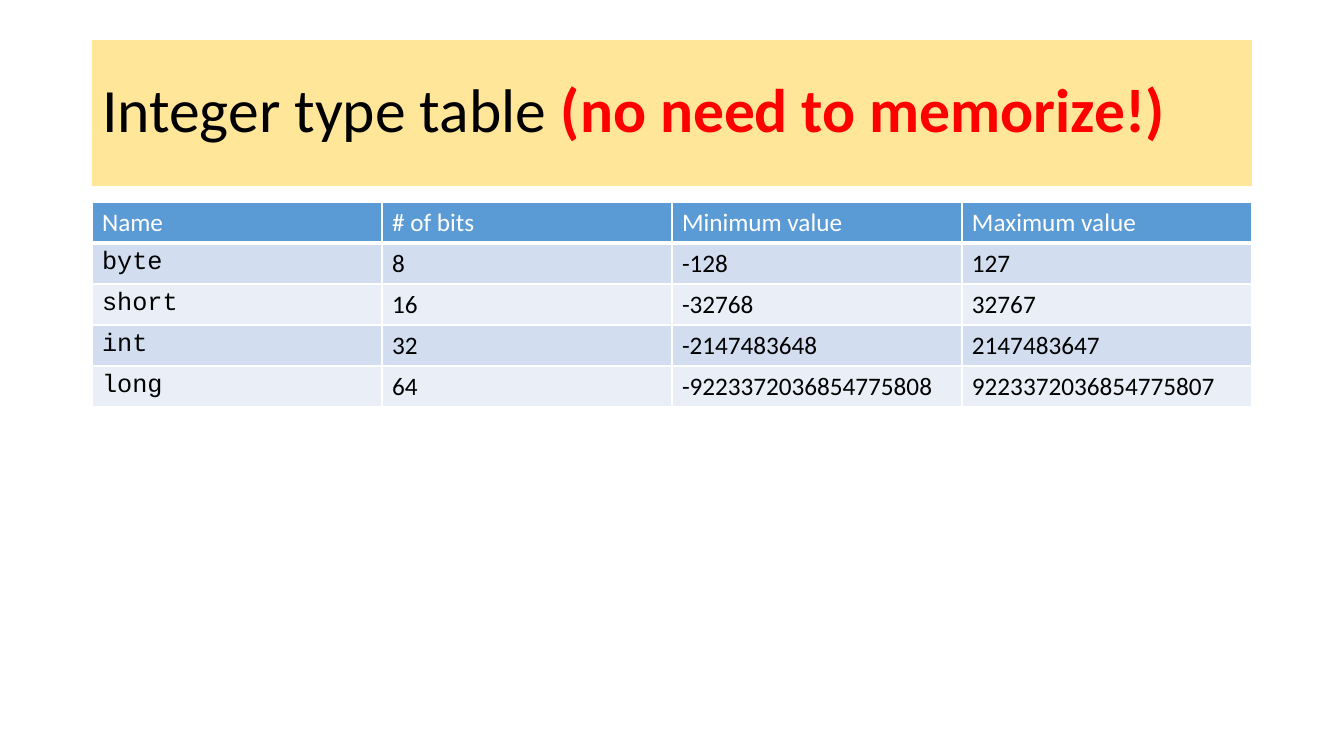
from dataclasses import dataclass

import pptx
import pptx.dml.color
import pptx.enum.text
import pptx.oxml
import pptx.oxml.ns
import pptx.util

EMU_PER_PX = 914400 / 100.8
LEFT = 92
COLUMN_WIDTH = 290
ROW_HEIGHT = 41

INTEGER_TYPES = [
    ("Name", "# of bits", "Minimum value", "Maximum value"),
    ("byte", "8", "-128", "127"),
    ("short", "16", "-32768", "32767"),
    ("int", "32", "-2147483648", "2147483647"),
    ("long", "64", "-9223372036854775808", "9223372036854775807"),
]


@dataclass(frozen=True)
class Theme:
    body_font: str = "Calibri"
    code_font: str = "Courier New"
    title_size: int = 44
    table_size: int = 18
    text: str = "000000"
    warning: str = "FF0000"
    title_fill: str = "FFE699"
    header_fill: str = "5B9BD5"
    header_text: str = "FFFFFF"
    border: str = "FFFFFF"
    bands: tuple = ("D2DEEF", "EAEFF7")


THEME = Theme()


def px(length):
    return pptx.util.Emu(round(length * EMU_PER_PX))


def rgb(value):
    return pptx.dml.color.RGBColor.from_string(value)


def set_fill(part, color):
    part.fill.solid()
    part.fill.fore_color.rgb = rgb(color)


def add_run(paragraph, text, size, color, font=THEME.body_font, bold=False):
    run = paragraph.add_run()
    run.text = text
    run.font.name = font
    run.font.size = pptx.util.Pt(size)
    run.font.bold = bold
    run.font.color.rgb = rgb(color)


def set_borders(cell, bottom_width):
    """Draw 1 pt borders, with the bottom one bottom_width points wide."""
    properties = cell._tc.get_or_add_tcPr()
    for side, width in (("L", 1), ("R", 1), ("T", 1), ("B", bottom_width)):
        properties.append(pptx.oxml.parse_xml(
            f'<a:ln{side} {pptx.oxml.ns.nsdecls("a")} w="{pptx.util.Pt(width)}">'
            f'<a:solidFill><a:srgbClr val="{THEME.border}"/></a:solidFill>'
            f'</a:ln{side}>'))


def add_title(slide):
    title = slide.shapes.title
    title.left, title.top = px(LEFT), px(40)
    title.width, title.height = px(4 * COLUMN_WIDTH), px(146)
    set_fill(title, THEME.title_fill)
    frame = title.text_frame
    frame.word_wrap = True
    frame.auto_size = pptx.enum.text.MSO_AUTO_SIZE.NONE
    frame.vertical_anchor = pptx.enum.text.MSO_ANCHOR.MIDDLE
    heading = frame.paragraphs[0]
    heading.alignment = pptx.enum.text.PP_ALIGN.LEFT
    heading.line_spacing = 0.9
    add_run(heading, "Integer type table ", THEME.title_size, THEME.text)
    add_run(heading, "(no need to memorize!)", THEME.title_size, THEME.warning,
            bold=True)


def format_cell(cell, text, row, column):
    is_header = row == 0
    set_borders(cell, 3 if is_header else 1)
    set_fill(cell, THEME.header_fill if is_header else THEME.bands[(row - 1) % 2])
    is_keyword = column == 0 and not is_header
    add_run(cell.text_frame.paragraphs[0], text, THEME.table_size,
            THEME.header_text if is_header else THEME.text,
            THEME.code_font if is_keyword else THEME.body_font)


def add_type_table(slide, rows):
    row_count, column_count = len(rows), len(rows[0])
    table = slide.shapes.add_table(
        row_count, column_count, px(LEFT), px(202),
        px(column_count * COLUMN_WIDTH), px(row_count * ROW_HEIGHT)).table
    for table_column in table.columns:
        table_column.width = px(COLUMN_WIDTH)
    for row, values in enumerate(rows):
        table.rows[row].height = px(ROW_HEIGHT)
        for column, text in enumerate(values):
            format_cell(table.cell(row, column), text, row, column)


def main():
    presentation = pptx.Presentation()
    presentation.slide_width, presentation.slide_height = px(1344), px(756)
    slide = presentation.slides.add_slide(presentation.slide_layouts[5])
    add_title(slide)
    add_type_table(slide, INTEGER_TYPES)
    presentation.save("out.pptx")


if __name__ == "__main__":
    main()
